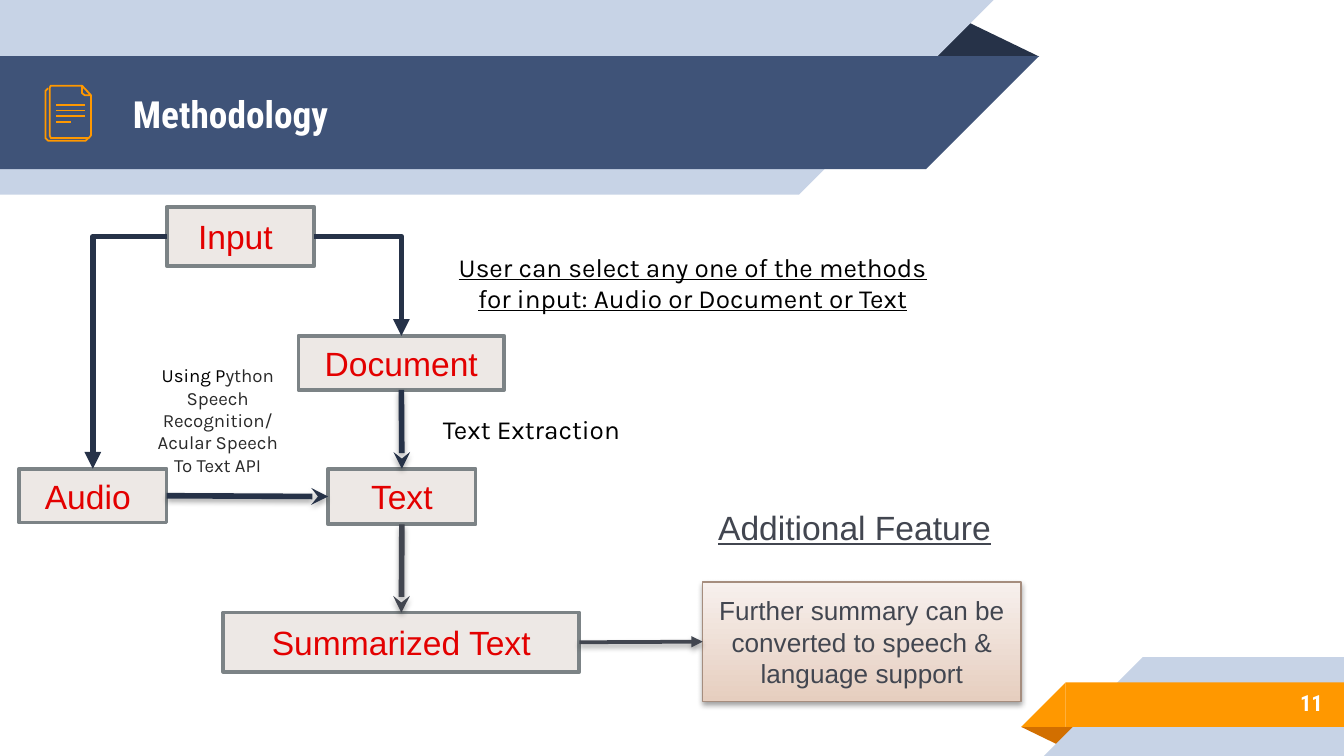
from lxml import etree
from pptx import Presentation
from pptx import util as u
from pptx.dml.color import RGBColor
from pptx.enum import shapes, text
from pptx.oxml.ns import qn

NAVY, PALE, DARK, ORANGE, RED, GREY = "3F5378", "C7D3E6", "263248", "FF9800", "E30000", "424650"
KIND = shapes.MSO_SHAPE
CENTER, RIGHT, LEFT = text.PP_ALIGN.CENTER, text.PP_ALIGN.RIGHT, text.PP_ALIGN.LEFT
TOP, MIDDLE = text.MSO_ANCHOR.TOP, text.MSO_ANCHOR.MIDDLE


def rgb(value):
    """Turn a hex string into a colour."""
    return RGBColor.from_string(value)


def cm(*values):
    """Turn numbers into centimetre lengths."""
    return [u.Cm(v) for v in values]


def set_effects(sp, shadow=None):
    """Give a shape no effects, or a soft shadow (blur, distance, alpha) below it."""
    effects = etree.SubElement(sp._element.spPr, qn("a:effectLst"))
    if shadow:
        blur, dist, alpha = shadow
        outer = etree.SubElement(effects, qn("a:outerShdw"), blurRad=str(u.Pt(blur)),
                                 dist=str(u.Pt(dist)), dir="5400000", rotWithShape="0")
        color = etree.SubElement(outer, qn("a:srgbClr"), val="000000")
        etree.SubElement(color, qn("a:alpha"), val=str(alpha * 1000))


def set_line(sp, color, width):
    """Set the colour and width of an outline or connector."""
    sp.line.color.rgb = rgb(color)
    sp.line.width = u.Pt(width)


def write(sp, runs, size, font, color=None, align=CENTER, anchor=MIDDLE,
          margin=0.25, right=0.25, **style):
    """Write one paragraph, given as a string or as (text, colour) runs."""
    tf = sp.text_frame
    tf.word_wrap = True
    tf.vertical_anchor = anchor
    tf.margin_left, tf.margin_right = cm(0.25, right)
    tf.margin_top = tf.margin_bottom = u.Cm(margin)
    p = tf.paragraphs[0]
    p.alignment = align
    p.font.size, p.font.name = u.Pt(size), font
    for name, value in style.items():
        setattr(p.font, name, value)
    if color:
        p.font.color.rgb = rgb(color)
        p.text = runs
        return
    for words, run_color in runs:
        r = p.add_run()
        r.text = words
        r.font.color.rgb = rgb(run_color)


def add_block(s, kind, box, color, rotation=0):
    """Add a plain filled shape."""
    sp = s.shapes.add_shape(kind, *cm(*box))
    sp.fill.solid()
    sp.fill.fore_color.rgb = rgb(color)
    sp.line.fill.background()
    set_effects(sp)
    sp.rotation = rotation
    return sp


def add_band(s, x, y, w, h, color, slant_right):
    """Add a band with one end cut at 45 degrees."""
    add_block(s, KIND.RECTANGLE, (x if slant_right else x + h, y, w - h, h), color)
    corner = x + w - h if slant_right else x
    add_block(s, KIND.RIGHT_TRIANGLE, (corner, y, h, h), color, 90 if slant_right else 270)


def add_fold(s, box, color, rotation=0):
    """Add the folded tip of a ribbon."""
    add_block(s, KIND.ISOSCELES_TRIANGLE, box, color, rotation).adjustments[0] = 0.32


def add_icon(s, x, y):
    """Draw the outlined pages icon."""
    back = [(81, 99), (76, 104), (5, 104), (0, 99), (0, 10), (5, 5)]
    front = [(86, 18), (86, 94), (82, 99), (10, 99), (8, 94), (8, 4), (10, 0), (69, 0)]
    corner = [(69, 0), (86, 18), (74, 18), (69, 14)]
    for points, close in ((back, False), (front, False), (corner, True)):
        builder = s.shapes.build_freeform(*points[0], scale=u.Cm(0.01))
        builder.add_line_segments(points[1:], close=close)
        sp = builder.convert_to_shape(*cm(x, y))
        sp.fill.background()
        set_line(sp, ORANGE, 0.96)
        set_effects(sp)
    for i, end in enumerate((0.74, 0.74, 0.74, 0.48)):
        row = y + 0.36 + 0.11 * i
        rule = s.shapes.add_connector(shapes.MSO_CONNECTOR.STRAIGHT,
                                      *cm(x + 0.2, row, x + end, row))
        set_line(rule, ORANGE, 0.96)
        set_effects(rule)


def add_header(s, x, y, w, h):
    """Build the title ribbon."""
    add_fold(s, (x + w - 2.16, y + 0.36, 2.16, 0.71), DARK)
    add_band(s, x, y, w - 0.86, h, PALE, True)
    add_band(s, x, y + 1.06, w, 2.14, NAVY, True)
    title = s.shapes.title
    title.left, title.top, title.width, title.height = cm(x + 2.26, y + 1.09, 14.6, 2.13)
    write(title, "Methodology", 20, "Roboto Condensed", "FFFFFF", LEFT, bold=True)
    s.shapes._spTree.append(title._element)
    add_icon(s, x + 0.86, y + 1.62)


def add_footer(s, x, y, w, h):
    """Build the page number ribbon."""
    add_fold(s, (x, y + 1.32, 1.09, 0.36), "D26F00", 180)
    add_band(s, x + 0.43, y, w - 0.43, h, PALE, False)
    add_band(s, x, y + 0.48, w, 0.84, ORANGE, False)
    number = s.shapes.add_textbox(*cm(x + 1.81, y + 0.41, 4.14, 0.89))
    write(number, "11", 12, "Roboto Condensed", "FFFFFF", RIGHT, bold=True)


def add_step(s, box, label, right=0.25):
    """Add one step of the flow."""
    sp = s.shapes.add_shape(KIND.RECTANGLE, *cm(*box))
    sp.fill.solid()
    sp.fill.fore_color.rgb = rgb("EDE8E5")
    set_line(sp, "7C8386", 2)
    set_effects(sp)
    write(sp, label, 18, "Arial", RED, margin=0.13, right=right)
    return sp


def add_feature(s, box):
    """Add the shaded box of the additional feature."""
    sp = s.shapes.add_shape(KIND.RECTANGLE, *cm(*box))
    sp.fill.gradient()
    sp.fill.gradient_angle = 90
    for stop, color in zip(sp.fill.gradient_stops, ("E6CEBF", "F7F0ED")):
        stop.color.rgb = rgb(color)
        stop.position = 0 if color == "E6CEBF" else 1
    set_line(sp, "A58D7E", 0.75)
    set_effects(sp, (3.1, 1.6, 37))
    write(sp, "Further summary can be converted to speech & language support",
          14, "Arial", GREY, margin=0.13)
    return sp


def add_arrow(s, start, start_side, end, end_side, color, width, head, shadow=None, bent=False):
    """Join two boxes with a straight or right-angled arrow."""
    kind = shapes.MSO_CONNECTOR.ELBOW if bent else shapes.MSO_CONNECTOR.STRAIGHT
    c = s.shapes.add_connector(kind, 0, 0, 0, 0)
    c.begin_connect(start, start_side)
    c.end_connect(end, end_side)
    set_line(c, color, width)
    spPr = c._element.spPr
    if bent:
        spPr.find(qn("a:prstGeom")).set("prst", "bentConnector2")
    etree.SubElement(spPr.find(qn("a:ln")), qn("a:tailEnd"), type=head)
    set_effects(c, shadow)


def add_flow(s, x, y):
    """Build the flow of steps with its arrows and notes."""
    audio = add_step(s, (x, y + 4.95, 2.79, 1.02), "Audio", 0.44)
    document = add_step(s, (x + 5.28, y + 2.44, 3.89, 1.02), "Document")
    plain = add_step(s, (x + 5.84, y + 4.95, 2.79, 1.05), "Text")
    summary = add_step(s, (x + 3.86, y + 7.67, 6.73, 1.12), "Summarized Text")
    source = add_step(s, (x + 2.79, y, 2.79, 1.12), "Input", 0.44)
    feature = add_feature(s, (x + 12.92, y + 7.09, 6.02, 2.26))

    soft = (3.1, 1.8, 34)
    add_arrow(s, source, 1, audio, 0, DARK, 3, "triangle", bent=True)
    add_arrow(s, source, 3, document, 0, DARK, 3, "triangle", bent=True)
    add_arrow(s, document, 2, plain, 0, DARK, 3, "stealth", soft)
    add_arrow(s, audio, 3, plain, 1, DARK, 3, "stealth", soft)
    add_arrow(s, plain, 2, summary, 0, GREY, 3, "stealth", soft)
    add_arrow(s, summary, 3, feature, 1, GREY, 2, "triangle", (3.1, 1.6, 37))

    notes = [
        ((12.49, 5.54, 6.6, 1.02), [("Additional Feature", GREY)], 18, "Arial", 0.13, True),
        ((7.97, 0.59, 9.53, 1.7), [("User can select any one of the methods for input: "
                                    "Audio or Document or Text", "000000")],
         14, "Karla", 0.25, True),
        ((2.23, 2.72, 3.05, 3.3), [("Using P", "000000"),
                                   ("ython Speech Recognition/ Acular Speech To Text API", "292929")],
         10, "Karla", 0.25, False),
        ((7.74, 3.66, 3.89, 1.12), [("Text Extraction", "000000")], 14, "Karla", 0.25, False),
    ]
    for (dx, dy, w, h), runs, size, font, margin, underline in notes:
        note = s.shapes.add_textbox(*cm(x + dx, y + dy, w, h))
        write(note, runs, size, font, anchor=TOP, margin=margin, underline=underline)


def main():
    """Build and save the slide."""
    prs = Presentation()
    prs.slide_width, prs.slide_height = cm(25.4, 14.29)
    s = prs.slides.add_slide(prs.slide_layouts[5])
    add_header(s, 0, 0, 19.64, 3.68)
    add_footer(s, 19.3, 12.42, 6.1, 1.87)
    add_flow(s, 0.36, 3.91)
    prs.save("out.pptx")


if __name__ == "__main__":
    main()
